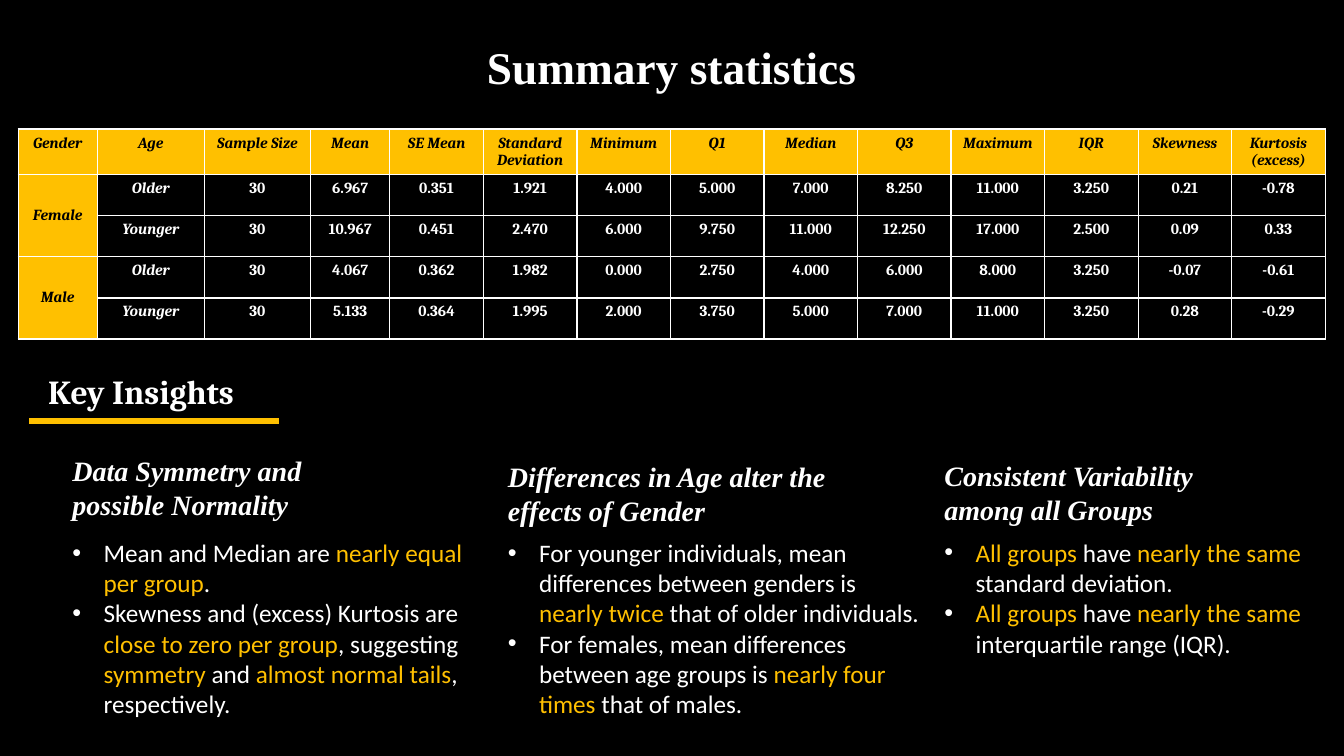
from dataclasses import dataclass

from lxml import etree
from pptx import Presentation
from pptx.dml.color import RGBColor
from pptx.enum.shapes import MSO_CONNECTOR
from pptx.enum.text import MSO_ANCHOR, MSO_AUTO_SIZE, PP_ALIGN
from pptx.oxml.ns import qn
from pptx.slide import Slide
from pptx.table import _Cell
from pptx.text.text import TextFrame, _Paragraph
from pptx.util import Inches, Pt

STRAIGHT = MSO_CONNECTOR.STRAIGHT
MIDDLE = MSO_ANCHOR.MIDDLE
CENTER, LEFT = PP_ALIGN.CENTER, PP_ALIGN.LEFT
NO_AUTOFIT = MSO_AUTO_SIZE.NONE
TITLE_ONLY = 5

COLORS = {"black": "000000", "white": "FFFFFF", "gold": "FFC000"}
SLIDE_WIDTH, SLIDE_HEIGHT = Inches(13.333), Inches(7.5)
GRID = 100
INDENT = Inches(0.31)


@dataclass(frozen=True)
class Area:
    column: float
    row: float
    columns: float
    rows: float

    def emu(self) -> tuple[int, int, int, int]:
        return across(self.column), down(self.row), across(self.columns), down(self.rows)


@dataclass(frozen=True)
class Style:
    font: str
    size: float
    color: str = "white"
    bold: bool = False
    italic: bool = False


@dataclass(frozen=True)
class Insight:
    heading: str
    heading_area: Area
    bullets: tuple[str, ...]
    bullets_area: Area


TITLE = Style("Times New Roman", 32.4, bold=True)
SECTION = Style("Cambria", 24, bold=True)
HEADING = Style("Times New Roman", 20, bold=True, italic=True)
BODY = Style("Calibri", 18)
HIGHLIGHT = Style("Calibri", 18, "gold")
TABLE_LABEL = Style("Cambria", 11, "black", True, True)
TABLE_AGE = Style("Cambria", 11, "white", True, True)
TABLE_VALUE = Style("Cambria", 11, "white", True)

TABLE_AREA = Area(1.35, 17.07, 97.28, 27.15)
COLUMN_WIDTHS = [5.88, 7.98, 7.9, 5.9] + [6.96] * 10
HEADERS = ["Gender", "Age", "Sample Size", "Mean", "SE Mean", "Standard Deviation",
           "Minimum", "Q1", "Median", "Q3", "Maximum", "IQR", "Skewness",
           "Kurtosis\n(excess)"]
STATISTICS = [
    "Female Older 30 6.967 0.351 1.921 4.000 5.000 7.000 8.250 11.000 3.250 0.21 -0.78",
    "Female Younger 30 10.967 0.451 2.470 6.000 9.750 11.000 12.250 17.000 2.500 0.09 0.33",
    "Male Older 30 4.067 0.362 1.982 0.000 2.750 4.000 6.000 8.000 3.250 -0.07 -0.61",
    "Male Younger 30 5.133 0.364 1.995 2.000 3.750 5.000 7.000 11.000 3.250 0.28 -0.29",
]
AGE_GROUPS = 2

INSIGHTS = [
    Insight("Data Symmetry and possible Normality", Area(4.65, 59.33, 22.58, 10.27),
            ("Mean and Median are *nearly equal per group*.",
             "Skewness and (excess) Kurtosis are *close to zero per group*, suggesting "
             "*symmetry* and *almost normal tails*, respectively."),
            Area(4.65, 70.4, 31.65, 25.6)),
    Insight("Differences in Age alter the effects of Gender", Area(37.05, 60.13, 26.63, 10.27),
            ("For younger individuals, mean differences between genders is *nearly twice* "
             "that of older individuals.",
             "For females, mean differences between age groups is *nearly four times *"
             "that of males."),
            Area(37.05, 70.4, 32.4, 25.6)),
    Insight("Consistent Variability among all Groups", Area(69.53, 60, 20.1, 10.27),
            ("*All groups *have *nearly the same *standard deviation.",
             "*All groups *have *nearly the same *interquartile range (IQR)."),
            Area(69.53, 70.4, 31.65, 17.47)),
]


def across(columns: float) -> int:
    return round(SLIDE_WIDTH * columns / GRID)


def down(rows: float) -> int:
    return round(SLIDE_HEIGHT * rows / GRID)


def rgb(name: str) -> RGBColor:
    return RGBColor.from_string(COLORS[name])


def add_span(para: _Paragraph, text: str, style: Style) -> None:
    span = para.add_run()
    span.text = text
    font = span.font
    font.name, font.size = style.font, Pt(style.size)
    font.bold, font.italic = style.bold, style.italic
    font.color.rgb = rgb(style.color)


def add_color(parent: etree._Element, name: str) -> None:
    etree.SubElement(parent, qn("a:srgbClr"), val=COLORS[name])


def add_bullet(para: _Paragraph) -> None:
    properties = para._p.get_or_add_pPr()
    properties.set("marL", str(INDENT))
    properties.set("indent", str(-INDENT))
    add_color(etree.SubElement(properties, qn("a:buClr")), "white")
    etree.SubElement(properties, qn("a:buFont"), typeface="Arial")
    etree.SubElement(properties, qn("a:buChar"), char="•")


def add_text_box(page: Slide, area: Area) -> TextFrame:
    frame = page.shapes.add_textbox(*area.emu()).text_frame
    frame.word_wrap = True
    return frame


def add_label(page: Slide, area: Area, text: str, style: Style) -> None:
    add_span(add_text_box(page, area).paragraphs[0], text, style)


def add_insight(page: Slide, insight: Insight) -> None:
    add_label(page, insight.heading_area, insight.heading, HEADING)
    frame = add_text_box(page, insight.bullets_area)
    for index, bullet in enumerate(insight.bullets):
        para = frame.add_paragraph() if index else frame.paragraphs[0]
        add_bullet(para)
        for part, text in enumerate(bullet.split("*")):
            if text:
                add_span(para, text, HIGHLIGHT if part % 2 else BODY)


def format_cell(cell: _Cell, fill: str) -> None:
    cell.fill.solid()
    cell.fill.fore_color.rgb = rgb(fill)
    properties = cell._tc.get_or_add_tcPr()
    for index, side in enumerate(("a:lnL", "a:lnR", "a:lnT", "a:lnB")):
        border = etree.Element(qn(side), w=str(Pt(1)))
        add_color(etree.SubElement(border, qn("a:solidFill")), "white")
        properties.insert(index, border)


def fill_cell(cell: _Cell, text: str, style: Style) -> None:
    for index, line in enumerate(text.split("\n")):
        frame = cell.text_frame
        para = frame.add_paragraph() if index else frame.paragraphs[0]
        para.alignment = CENTER
        add_span(para, line, style)


def add_statistics(page: Slide) -> None:
    records = [HEADERS] + [line.split() for line in STATISTICS]
    table = page.shapes.add_table(len(records), len(HEADERS), *TABLE_AREA.emu()).table
    for column, width in zip(table.columns, COLUMN_WIDTHS):
        column.width = across(width)
    for row, record in enumerate(records):
        for column, text in enumerate(record):
            cell = table.cell(row, column)
            is_label = row == 0 or column == 0
            format_cell(cell, "gold" if is_label else "black")
            if row and column == 0:
                if row % AGE_GROUPS == 0:
                    continue
                cell.merge(table.cell(row + AGE_GROUPS - 1, column))
                cell.vertical_anchor = MIDDLE
            body_style = TABLE_AGE if column == 1 else TABLE_VALUE
            fill_cell(cell, text, TABLE_LABEL if is_label else body_style)


def add_title(page: Slide) -> None:
    title = page.shapes.title
    title.left, title.top, title.width, title.height = Area(35.48, 2.93, 31.2, 12.67).emu()
    frame = title.text_frame
    frame.auto_size, frame.vertical_anchor = NO_AUTOFIT, MIDDLE
    para = frame.paragraphs[0]
    para.alignment, para.line_spacing = LEFT, 0.9
    add_span(para, "Summary statistics", TITLE)


def add_underline(page: Slide) -> None:
    height = down(55.73)
    rule = page.shapes.add_connector(STRAIGHT, across(2.18), height, across(20.78), height)
    rule.line.color.rgb = rgb("gold")
    rule.line.width = Pt(4)
    etree.SubElement(rule._element.spPr, qn("a:effectLst"))


def main() -> None:
    deck = Presentation()
    deck.slide_width, deck.slide_height = SLIDE_WIDTH, SLIDE_HEIGHT
    page = deck.slides.add_slide(deck.slide_layouts[TITLE_ONLY])
    page.background.fill.solid()
    page.background.fill.fore_color.rgb = rgb("black")
    add_title(page)
    add_statistics(page)
    add_label(page, Area(2.85, 48.4, 17.62, 6.67), "Key Insights", SECTION)
    add_underline(page)
    for insight in INSIGHTS:
        add_insight(page, insight)
    deck.save("out.pptx")


if __name__ == "__main__":
    main()
